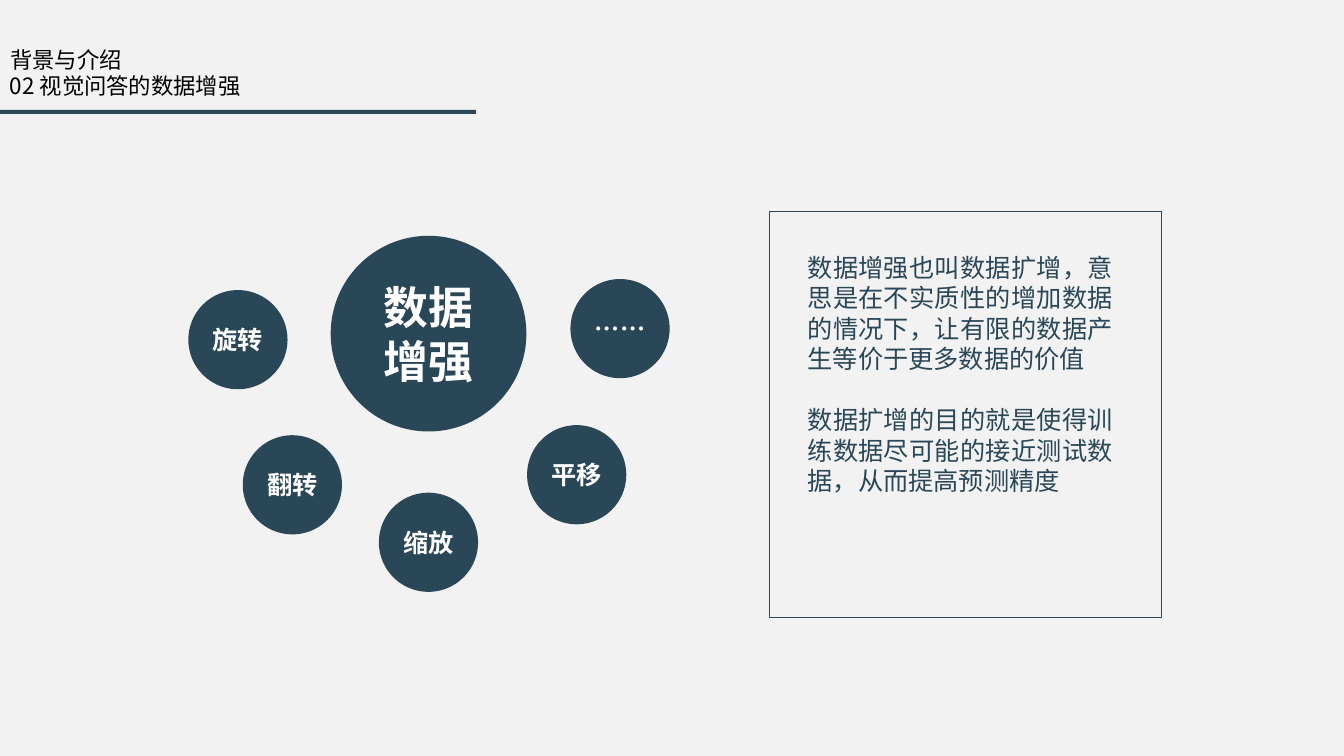
from dataclasses import dataclass

from lxml import etree
from pptx import Presentation
from pptx.dml.color import RGBColor
from pptx.enum.shapes import MSO_SHAPE
from pptx.enum.text import MSO_ANCHOR, MSO_AUTO_SIZE, PP_ALIGN
from pptx.oxml.ns import qn
from pptx.util import Inches, Pt

ELLIPSE, RECTANGLE = MSO_SHAPE.OVAL, MSO_SHAPE.RECTANGLE
TOP, MIDDLE = MSO_ANCHOR.TOP, MSO_ANCHOR.MIDDLE
LEFT, CENTER, JUSTIFY = PP_ALIGN.LEFT, PP_ALIGN.CENTER, PP_ALIGN.JUSTIFY
NO_AUTOFIT = MSO_AUTO_SIZE.NONE

COLORS = {"background": "F2F2F2", "navy": "2A4758", "white": "FFFFFF", "black": "000000"}
FONT = "Noto Sans CJK SC"
LINE_RATIO = 1.21


@dataclass(frozen=True)
class Box:
    left: float
    top: float
    width: float
    height: float

    def lengths(self):
        return tuple(Inches(v) for v in (self.left, self.top, self.width, self.height))


@dataclass(frozen=True)
class TextStyle:
    size: int
    color: str
    bold: bool = False
    align: PP_ALIGN = LEFT
    anchor: MSO_ANCHOR = MIDDLE
    inset_x: float = 0.1
    inset_y: float = 0.05


@dataclass(frozen=True)
class Bubble:
    label: str
    center_x: float
    center_y: float
    diameter: float
    line_width: float
    style: TextStyle


HEADING = TextStyle(16, "black")
EXPLANATION = TextStyle(18, "navy", align=JUSTIFY, anchor=TOP)
TOPIC = TextStyle(32, "white", bold=True, align=CENTER)
METHOD = TextStyle(18, "white", bold=True, align=CENTER, inset_x=0, inset_y=0)

BUBBLES = [Bubble("数据增强", 4.25, 3.31, 1.92, 1.5, TOPIC)] + [
    Bubble(label, x, y, 0.97, 1, METHOD)
    for label, x, y in (
        ("……", 6.15, 3.26),
        ("平移", 5.72, 4.71),
        ("缩放", 4.25, 5.38),
        ("翻转", 2.9, 4.81),
        ("旋转", 2.36, 3.37),
    )
]
EXPLANATIONS = [
    "数据增强也叫数据扩增，意思是在不实质性的增加数据的情况下，让有限的数据产生等价于更多数据的价值",
    "数据扩增的目的就是使得训练数据尽可能的接近测试数据，从而提高预测精度",
]


def rgb(name: str) -> RGBColor:
    return RGBColor.from_string(COLORS[name])


def apply_format(target, values: dict) -> None:
    for attribute, value in values.items():
        setattr(target, attribute, value)


def write(shape, texts: list[str], style: TextStyle) -> None:
    frame = shape.text_frame
    apply_format(frame, {
        "word_wrap": True,
        "auto_size": NO_AUTOFIT,
        "vertical_anchor": style.anchor,
        "margin_left": Inches(style.inset_x),
        "margin_right": Inches(style.inset_x),
        "margin_top": Inches(style.inset_y),
        "margin_bottom": Inches(style.inset_y),
    })
    line_height = Pt(style.size * LINE_RATIO)
    for index, text in enumerate(texts):
        paragraph = frame.paragraphs[0] if index == 0 else frame.add_paragraph()
        apply_format(paragraph, {
            "alignment": style.align,
            "line_spacing": line_height,
            "space_before": line_height if index else Pt(0),
            "space_after": Pt(0),
        })
        properties = paragraph._p.get_or_add_pPr()
        properties.set("marL", "0")
        properties.set("indent", "0")
        etree.SubElement(properties, qn("a:buNone"))
        run = paragraph.add_run()
        run.text = text
        apply_format(run.font, {"size": Pt(style.size), "bold": style.bold, "name": FONT})
        run.font.color.rgb = rgb(style.color)
        east_asian = etree.SubElement(run.font._element, qn("a:ea"))
        east_asian.set("typeface", FONT)


def add_figure(slide, preset: MSO_SHAPE, box: Box, filled: bool, line_width: float):
    figure = slide.shapes.add_shape(preset, *box.lengths())
    figure.shadow.inherit = False
    if filled:
        figure.fill.solid()
        figure.fill.fore_color.rgb = rgb("navy")
    else:
        figure.fill.background()
    if line_width:
        figure.line.color.rgb = rgb("navy")
        figure.line.width = Pt(line_width)
    else:
        figure.line.fill.background()
    return figure


def add_bubble(slide, bubble: Bubble) -> None:
    radius = bubble.diameter / 2
    box = Box(bubble.center_x - radius, bubble.center_y - radius,
              bubble.diameter, bubble.diameter)
    circle = add_figure(slide, ELLIPSE, box, True, bubble.line_width)
    write(circle, [bubble.label], bubble.style)


def place(placeholder, box: Box) -> None:
    apply_format(placeholder, dict(zip(("left", "top", "width", "height"), box.lengths())))


def main() -> None:
    presentation = Presentation()
    apply_format(presentation, {"slide_width": Inches(13.33), "slide_height": Inches(7.5)})
    slide = presentation.slides.add_slide(presentation.slide_layouts[1])
    slide.background.fill.solid()
    slide.background.fill.fore_color.rgb = rgb("background")

    chapter, explanation = slide.placeholders
    place(chapter, Box(0, 0.4, 3.83, 0.37))
    write(chapter, ["背景与介绍"], HEADING)
    section = slide.shapes.add_textbox(*Box(0, 0.66, 4.33, 0.37).lengths())
    write(section, ["02 视觉问答的数据增强"], HEADING)
    add_figure(slide, RECTANGLE, Box(0, 1.09, 4.72, 0.04), True, 0)

    for bubble in BUBBLES:
        add_bubble(slide, bubble)

    add_figure(slide, RECTANGLE, Box(7.63, 2.1, 3.89, 4.03), False, 0.75)
    place(explanation, Box(7.91, 2.45, 3.23, 2.52))
    write(explanation, EXPLANATIONS, EXPLANATION)
    presentation.save("out.pptx")


if __name__ == "__main__":
    main()
